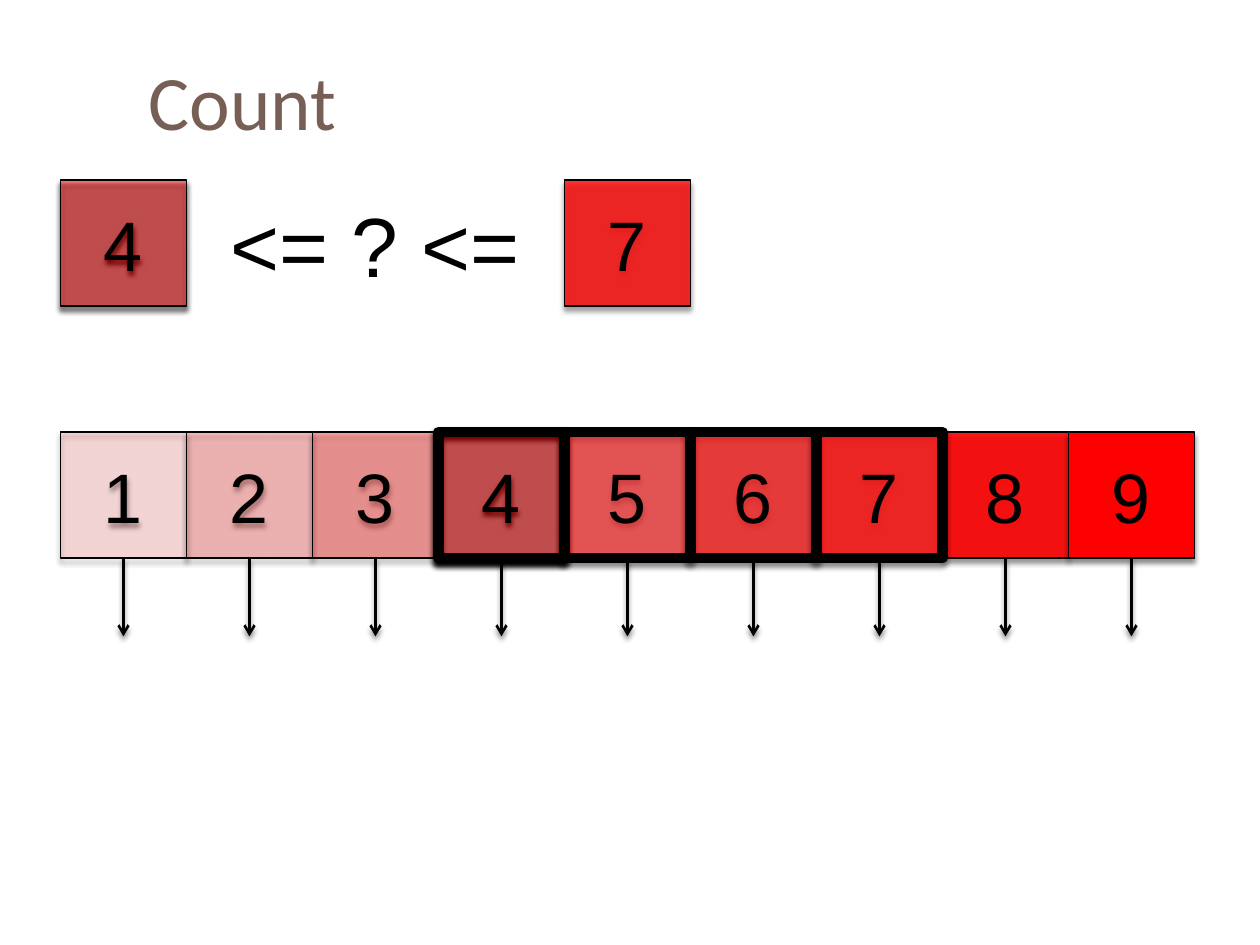
from lxml.etree import SubElement
from pptx import Presentation
from pptx.dml.color import RGBColor
from pptx.enum.shapes import MSO_CONNECTOR as CONN, MSO_SHAPE as SHAPE
from pptx.enum.text import MSO_ANCHOR as ANCHOR, MSO_AUTO_SIZE as AUTO, PP_ALIGN as ALIGN
from pptx.oxml.ns import qn
from pptx.util import Inches, Pt

BLACK = RGBColor(0, 0, 0)
RED = RGBColor(255, 0, 0)
BROWN = RGBColor(0x77, 0x5F, 0x55)
LEFT, QUERY_TOP, ROW_TOP, SIDE = 0.48, 1.43, 3.43, 1
ARROW_LENGTH = 0.62
LOW, HIGH = 4, 7


class Board:
    def __init__(self, slide):
        self.s = slide
        self.thin, self.thick, self.arrow_width = Pt(0.79), Pt(6), Pt(1.5)

    def shadow(self, sp_pr):
        effects = SubElement(sp_pr, qn("a:effectLst"))
        outer = SubElement(effects, qn("a:outerShdw"), blurRad=str(Pt(3)), dist=str(Pt(2.4)),
                           dir="5400000", rotWithShape="0")
        color = SubElement(outer, qn("a:srgbClr"), val=str(BLACK))
        SubElement(color, qn("a:alpha"), val="45000")

    def label(self, tf, text, size, font="Arial", color=BLACK, align=ALIGN.LEFT):
        p = tf.paragraphs[0]
        p.text = text
        p.alignment = align
        p.font.size = Pt(size)
        p.font.name = font
        p.font.color.rgb = color

    def text(self, x, y, w, h, text, size, wrap=True, anchor=ANCHOR.TOP, **style):
        tf = self.s.shapes.add_textbox(Inches(x), Inches(y), Inches(w), Inches(h)).text_frame
        tf.word_wrap = wrap
        tf.auto_size = AUTO.NONE if wrap else AUTO.SHAPE_TO_FIT_TEXT
        tf.vertical_anchor = anchor
        self.label(tf, text, size, **style)

    def cell(self, x, y, value, chosen=False):
        sp = self.s.shapes.add_shape(SHAPE.RECTANGLE, Inches(x), Inches(y), Inches(SIDE), Inches(SIDE))
        sp.fill.solid()
        sp.fill.fore_color.rgb = RED
        opacity = 1 + 11 * value
        if opacity < 100:
            color = sp._element.spPr.find(qn("a:solidFill"))[0]
            SubElement(color, qn("a:alpha"), val=str(opacity * 1000))
        sp.line.color.rgb = BLACK
        sp.line.width = self.thick if chosen else self.thin
        self.shadow(sp._element.spPr)
        sp.text_frame.vertical_anchor = ANCHOR.MIDDLE
        self.label(sp.text_frame, str(value), 40, align=ALIGN.CENTER)
        return sp

    def arrow_below(self, sp):
        x = sp.left + sp.width // 2
        y = sp.top + sp.height
        line = self.s.shapes.add_connector(CONN.STRAIGHT, x, y, x, y + Inches(ARROW_LENGTH))
        line.begin_connect(sp, 2)
        line.line.color.rgb = BLACK
        line.line.width = self.arrow_width
        sp_pr = line._element.spPr
        SubElement(sp_pr.find(qn("a:ln")), qn("a:tailEnd"), type="arrow")
        self.shadow(sp_pr)


def main():
    prs = Presentation()
    prs.slide_width, prs.slide_height = Inches(10), Inches(7.5)
    board = Board(prs.slides.add_slide(prs.slide_layouts[6]))

    board.text(1.08, 0.25, 8.92, 1.08, "Count", 44, anchor=ANCHOR.MIDDLE, font="Calibri", color=BROWN)
    board.cell(LEFT, QUERY_TOP, LOW)
    board.text(1.73, 1.49, 2.52, 0.91, "<= ? <=", 48, wrap=False)
    board.cell(LEFT + 4 * SIDE, QUERY_TOP, HIGH)

    chosen = range(LOW, HIGH + 1)
    back_to_front = sorted(range(1, 10), key=lambda value: value in chosen)
    cells = [board.cell(LEFT + (value - 1) * SIDE, ROW_TOP, value, value in chosen)
             for value in back_to_front]
    for sp in cells:
        board.arrow_below(sp)

    prs.save("out.pptx")


if __name__ == "__main__":
    main()
